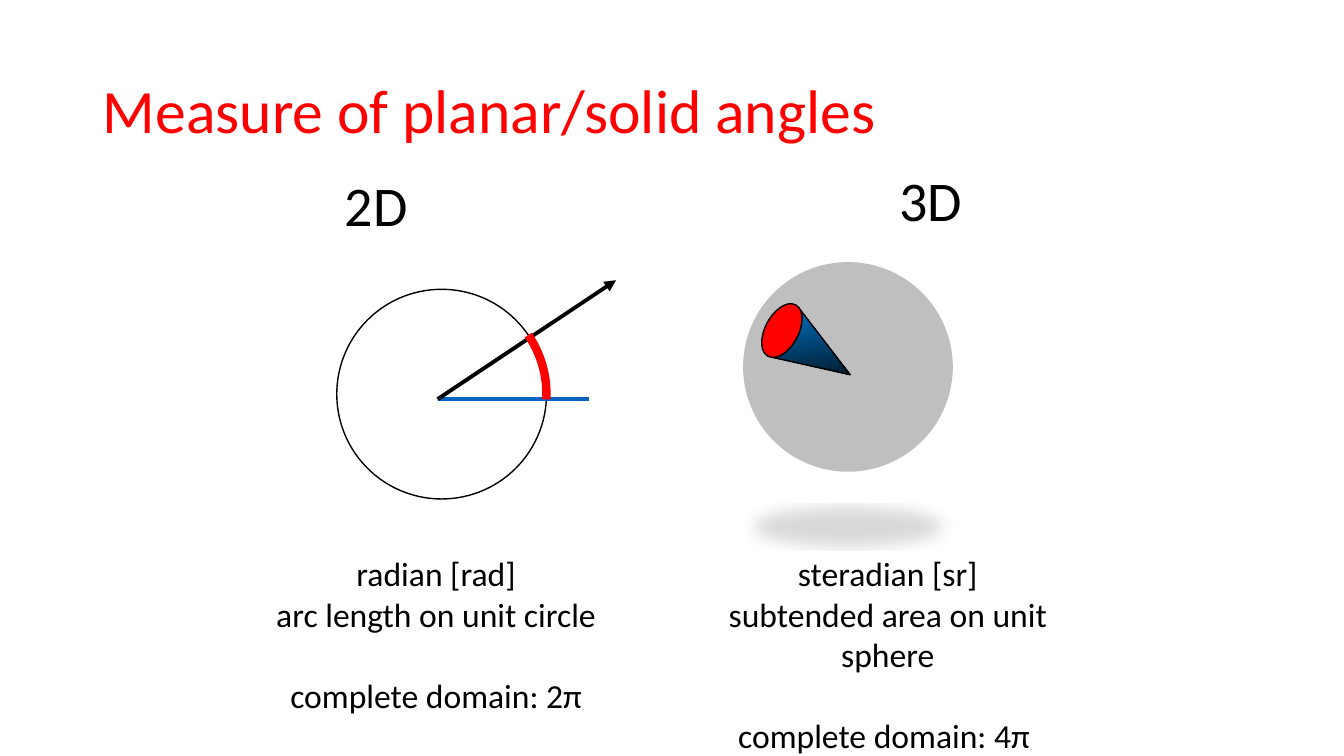
from lxml.etree import SubElement
from pptx import Presentation
from pptx.dml.color import RGBColor
from pptx.enum.shapes import MSO_CONNECTOR, MSO_SHAPE
from pptx.enum.text import MSO_ANCHOR, MSO_AUTO_SIZE, PP_ALIGN
from pptx.oxml.ns import qn
from pptx.util import Inches, Pt

# Content
TITLE = "Measure of planar/solid angles"
HEADINGS = [("2D", 3.32, 1.64), ("3D", 8.82, 1.59)]
CAPTIONS = [
    (2.02, 4.61, ["radian [rad]", "arc length on unit circle", "complete domain: 2π"]),
    (6.63, 4.35, ["steradian [sr]", "subtended area on unit sphere", "complete domain: 4π "]),
]
FONT, BLACK, RED = "Calibri", "000000", "FF0000"

# Geometry in inches
DIAMETER = 2.08
CIRCLE = (3.34, 2.87, DIAMETER, DIAMETER)
SPHERE = (7.37, 2.6, DIAMETER, DIAMETER)
VERTEX = (4.34, 3.96)
RAYS = [((5.84, 3.96), "0563C1", 3, False), ((6.11, 2.78), BLACK, 2.75, True)]


def rgb(color):
    return RGBColor.from_string(color)


def set_line(line, color, width):
    line.color.rgb = rgb(color)
    line.width = Pt(width)


def add_shape(parent, kind, box, fill=None, line=None, rotation=0):
    sp = parent.add_shape(kind, *map(Inches, box))
    sp.shadow.inherit = False
    sp.rotation = rotation
    if fill:
        sp.fill.solid()
        sp.fill.fore_color.rgb = rgb(fill)
    else:
        sp.fill.background()
    if line:
        set_line(sp.line, *line)
    else:
        sp.line.fill.background()
    return sp


def add_run(p, text, size, color=BLACK):
    r = p.add_run()
    r.text = text
    r.font.name, r.font.size = FONT, Pt(size)
    r.font.color.rgb = rgb(color)


def add_text(s, box, lines, size, align, wrap):
    tf = s.shapes.add_textbox(*map(Inches, box)).text_frame
    tf.word_wrap = wrap
    tf.auto_size = MSO_AUTO_SIZE.SHAPE_TO_FIT_TEXT
    for i, text in enumerate(lines):
        p = tf.paragraphs[0] if i == 0 else tf.add_paragraph()
        p.alignment = align
        add_run(p, text, size)
    return tf


def add_ray(s, end, color, width, arrow):
    ray = s.shapes.add_connector(MSO_CONNECTOR.STRAIGHT, *map(Inches, VERTEX + end))
    set_line(ray.line, color, width)
    if arrow:
        SubElement(ray.line._get_or_add_ln(), qn("a:tailEnd"), type="triangle")
    SubElement(ray._element.spPr, qn("a:effectLst"))


def add_floor_shadow(sp):
    effects = sp._element.spPr.find(qn("a:effectLst"))
    shadow = SubElement(effects, qn("a:outerShdw"), blurRad=str(Pt(12)), dist=str(Pt(25)),
                        dir="5400000", sx="90000", sy="-19000", rotWithShape="0")
    color = SubElement(shadow, qn("a:srgbClr"), val=BLACK)
    SubElement(color, qn("a:alpha"), val="15000")


prs = Presentation()
prs.slide_width, prs.slide_height = Inches(13.33), Inches(7.5)
s = prs.slides.add_slide(prs.slide_layouts[5])

# Title
title = s.shapes.title
title.left, title.top, title.width, title.height = map(Inches, (0.92, 0.4, 11.5, 1.45))
tf = title.text_frame
tf.vertical_anchor = MSO_ANCHOR.MIDDLE
p = tf.paragraphs[0]
p.alignment, p.line_spacing = PP_ALIGN.LEFT, 0.9
add_run(p, TITLE, 44, RED)

# Planar angle: circle, two rays, arc
add_shape(s.shapes, MSO_SHAPE.OVAL, CIRCLE, line=(BLACK, 1))
for ray in RAYS:
    add_ray(s, *ray)
arc = add_shape(s.shapes, MSO_SHAPE.ARC, CIRCLE, line=(RED, 6))
arc.adjustments[0], arc.adjustments[1] = 195.444, 1.736

# Solid angle: sphere with a cone
add_floor_shadow(add_shape(s.shapes, MSO_SHAPE.OVAL, SPHERE, fill="BFBFBF"))
cone = s.shapes.add_group_shape().shapes
side = add_shape(cone, MSO_SHAPE.ISOSCELES_TRIANGLE, (7.84, 3.13, 0.55, 0.76),
                 line=(BLACK, 1), rotation=122)
side.adjustments[0] = 0.514
side.fill.gradient()
side.fill.gradient_angle = 360 - 140
for stop, position, color in zip(side.fill.gradient_stops, (0, 1), (BLACK, "0070C0")):
    stop.position, stop.color.rgb = position, rgb(color)
add_shape(cone, MSO_SHAPE.OVAL, (7.59, 2.99, 0.33, 0.58), RED, (BLACK, 1), 28.3)

# Captions and headings
for left, width, lines in CAPTIONS:
    tf = add_text(s, (left, 5.44, width, 1.72), lines, 24, PP_ALIGN.CENTER, True)
    tf.paragraphs[-1].space_before = Pt(29)
for text, left, top in HEADINGS:
    add_text(s, (left, top, 0.85, 0.77), [text], 40, PP_ALIGN.LEFT, False)

prs.save("out.pptx")
